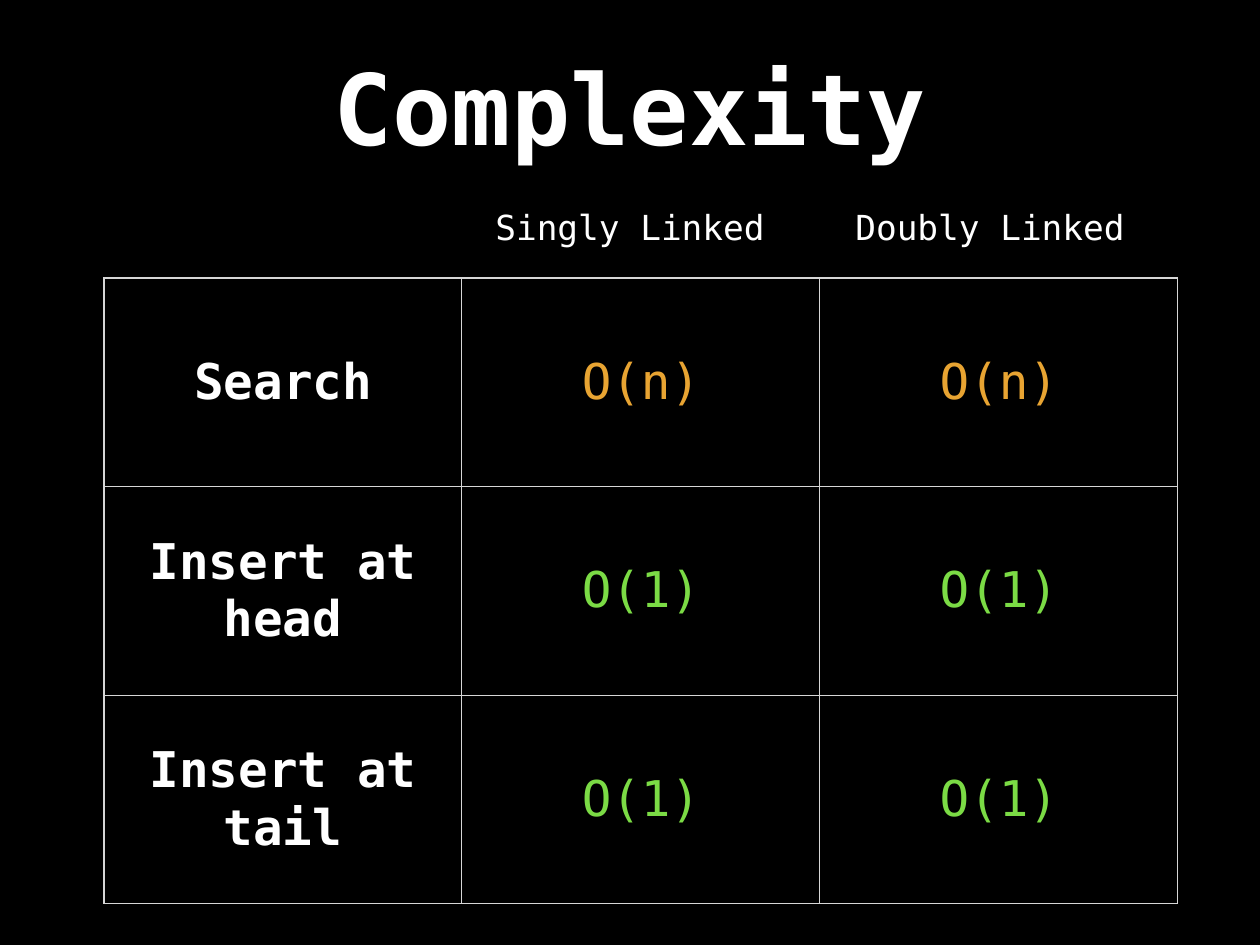
"""Build the slide that compares the complexity of linked lists."""
from dataclasses import dataclass

from lxml.etree import SubElement
from pptx import Presentation
from pptx.dml.color import RGBColor
from pptx.enum.text import MSO_ANCHOR, MSO_AUTO_SIZE, PP_ALIGN
from pptx.oxml.ns import qn
from pptx.util import Pt

TITLE = "Complexity"
HEADS = ["Singly Linked", "Doubly Linked"]
ROWS = [
    ("Search", "O(n)", "O(n)"),
    ("Insert at head", "O(1)", "O(1)"),
    ("Insert at tail", "O(1)", "O(1)"),
]


@dataclass(frozen=True)
class Theme:
    font: str = "DejaVu Sans Mono"
    back: str = "000000"
    text: str = "FFFFFF"
    line: str = "D6D6D6"
    slow: str = "E8A432"
    fast: str = "7BDB45"
    title: int = 80
    cell: int = 40
    head: int = 28


LOOK = Theme()
COST = {"O(n)": LOOK.slow, "O(1)": LOOK.fast}
SCALE = 10320
PAD = 5


def px(*sizes):
    return [size * SCALE for size in sizes]


def write(frame, text, size, color=LOOK.text, bold=False):
    para = frame.paragraphs[0]
    para.alignment = PP_ALIGN.CENTER
    run = para.add_run()
    run.text = text
    font = run.font
    font.name, font.size, font.bold = LOOK.font, Pt(size), bold
    font.color.rgb = RGBColor.from_string(color)


def inset(box):
    box.margin_left = box.margin_right = PAD * SCALE
    box.margin_top = box.margin_bottom = PAD * SCALE
    box.vertical_anchor = MSO_ANCHOR.MIDDLE


def border(cell):
    props = cell._tc.get_or_add_tcPr()
    for side in "LRTB":
        line = SubElement(props, qn(f"a:ln{side}"), w=str(Pt(1)))
        fill = SubElement(line, qn("a:solidFill"))
        SubElement(fill, qn("a:srgbClr"), val=LOOK.line)


deck = Presentation()
deck.slide_width, deck.slide_height = px(1260, 945)
slide = deck.slides.add_slide(deck.slide_layouts[5])
back = slide.background.fill
back.solid()
back.fore_color.rgb = RGBColor.from_string(LOOK.back)

title = slide.shapes.title
title.left, title.top, title.width, title.height = px(230, 35, 800, 143)
inset(title.text_frame)
title.text_frame.auto_size = MSO_AUTO_SIZE.NONE
write(title.text_frame, TITLE, LOOK.title, bold=True)

place = px(104, 278, 1074, 626)
table = slide.shapes.add_table(len(ROWS), len(ROWS[0]), *place).table
table.first_row = table.horz_banding = False
for r, row in enumerate(ROWS):
    for c, text in enumerate(row):
        cell = table.cell(r, c)
        border(cell)
        cell.fill.background()
        inset(cell)
        color = COST.get(text, LOOK.text)
        write(cell.text_frame, text, LOOK.cell, color, bold=c == 0)

for i, text in enumerate(HEADS):
    frame = slide.shapes.add_textbox(*px(490 + 360 * i, 202, 280, 50)).text_frame
    inset(frame)
    frame.word_wrap = False
    frame.auto_size = MSO_AUTO_SIZE.SHAPE_TO_FIT_TEXT
    write(frame, text, LOOK.head)

deck.save("out.pptx")
